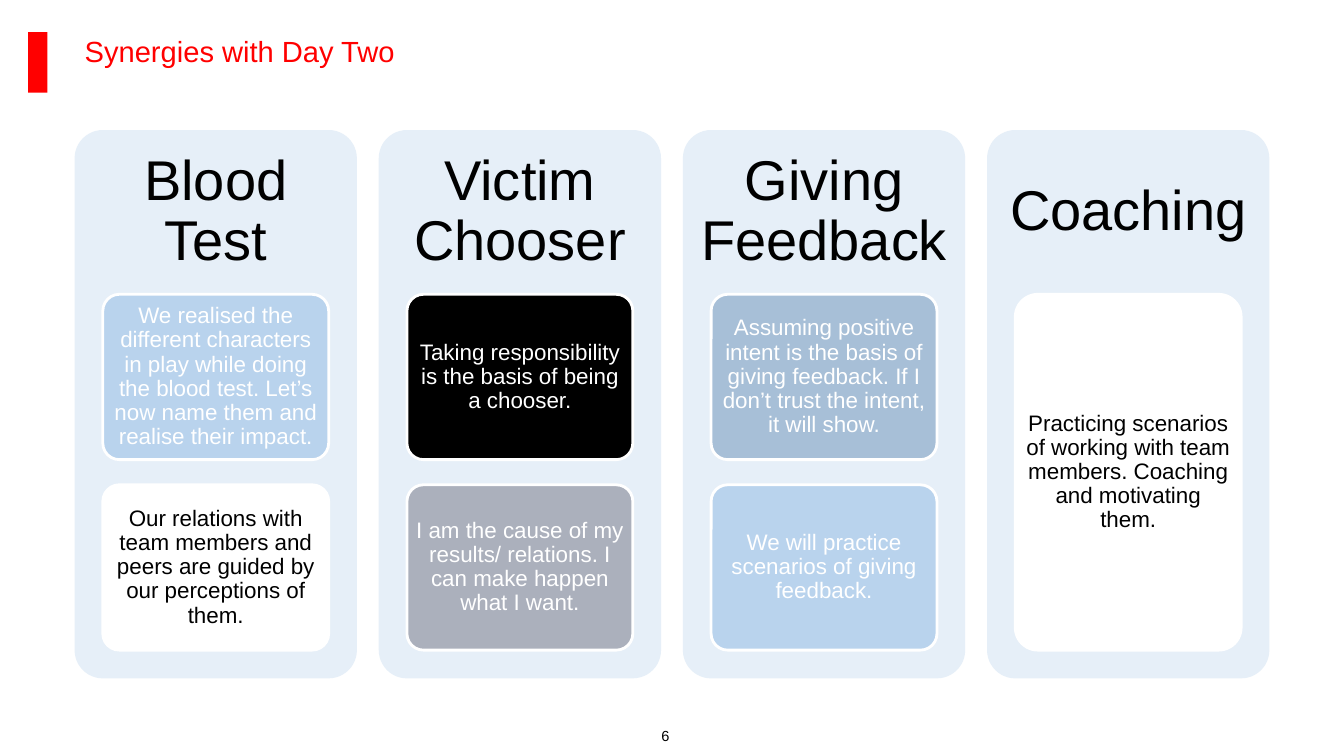
import pptx
import pptx.util
import pptx.dml.color
import pptx.enum.shapes
import pptx.enum.text

Inches, Pt = pptx.util.Inches, pptx.util.Pt
SHAPES = pptx.enum.shapes.MSO_SHAPE
ANCHOR = pptx.enum.text.MSO_ANCHOR
ALIGN = pptx.enum.text.PP_ALIGN

COLORS = {
    "red": "FF0000", "black": "000000", "white": "FFFFFF", "panel": "E6EFF8",
    "sky": "B9D3ED", "steel": "A7BFD7", "grey": "ABB0BC",
}
TITLE = "Synergies with Day Two"
PAGE_NUMBER = "6"
# heading, then cards as (text, fill, text colour)
TOPICS = [
    ("Blood Test", [
        ("We realised the different characters in play while doing the blood test. "
         "Let’s now name them and realise their impact.", "sky", "white"),
        ("Our relations with team members and peers are guided by our perceptions of them.",
         "white", "black"),
    ]),
    ("Victim Chooser", [
        ("Taking responsibility is the basis of being a chooser.", "black", "white"),
        ("I am the cause of my results/ relations. I can make happen what I want.",
         "grey", "white"),
    ]),
    ("Giving Feedback", [
        ("Assuming positive intent is the basis of giving feedback. "
         "If I don’t trust the intent, it will show.", "steel", "white"),
        ("We will practice scenarios of giving feedback.", "sky", "white"),
    ]),
    ("Coaching", [
        ("Practicing scenarios of working with team members. Coaching and motivating them.",
         "white", "black"),
    ]),
]

LEFT, WIDTH = 0.74, 11.85
PANEL_TOP, PANEL_WIDTH, PANEL_HEIGHT = 1.29, 2.8, 5.44
HEADING_HEIGHT = 1.63
CARD_WIDTH, CARDS_HEIGHT, CARD_GAP = 2.24, 3.53, 0.25


def rgb(name):
    return pptx.dml.color.RGBColor.from_string(COLORS[name])


def add_block(slide, kind, box, fill, line=None):
    block = slide.shapes.add_shape(kind, *map(Inches, box))
    block.shadow.inherit = False
    block.fill.solid()
    block.fill.fore_color.rgb = rgb(fill)
    if line:
        block.line.color.rgb = rgb(line)
        block.line.width = Pt(2)
    else:
        block.line.fill.background()
    if kind == SHAPES.ROUNDED_RECTANGLE:
        block.adjustments[0] = 0.1
    return block


def write(holder, text, size, color, insets, align=ALIGN.CENTER, anchor=ANCHOR.MIDDLE, wrap=True):
    frame = holder.text_frame
    frame.text = text
    frame.word_wrap = wrap
    frame.auto_size = pptx.enum.text.MSO_AUTO_SIZE.NONE
    frame.vertical_anchor = anchor
    frame.margin_left = frame.margin_right = Inches(insets[0])
    frame.margin_top = frame.margin_bottom = Inches(insets[1])
    paragraph = frame.paragraphs[0]
    paragraph.alignment = align
    paragraph.line_spacing = 0.9
    paragraph.font.size = Pt(size)
    paragraph.font.name = "Arial"
    paragraph.font.color.rgb = rgb(color)


def add_topic(slide, left, heading, cards):
    add_block(slide, SHAPES.ROUNDED_RECTANGLE,
              (left, PANEL_TOP, PANEL_WIDTH, PANEL_HEIGHT), "panel")
    heading_box = slide.shapes.add_textbox(
        *map(Inches, (left, PANEL_TOP, PANEL_WIDTH, HEADING_HEIGHT)))
    write(heading_box, heading, 40, "black", (0.17, 0.17))

    card_left = left + (PANEL_WIDTH - CARD_WIDTH) / 2
    card_height = (CARDS_HEIGHT - CARD_GAP * (len(cards) - 1)) / len(cards)
    for row, (text, fill, color) in enumerate(cards):
        top = PANEL_TOP + HEADING_HEIGHT + row * (card_height + CARD_GAP)
        card = add_block(slide, SHAPES.ROUNDED_RECTANGLE,
                         (card_left, top, CARD_WIDTH, card_height), fill, "white")
        write(card, text, 16, color, (0.04, 0.03))


def main():
    deck = pptx.Presentation()
    deck.slide_width, deck.slide_height = Inches(13.33), Inches(7.5)
    slide = deck.slides.add_slide(deck.slide_layouts[5])

    add_block(slide, SHAPES.RECTANGLE, (0.28, 0.32, 0.19, 0.6), "red")
    title = slide.shapes.title
    title.left, title.top, title.width, title.height = map(Inches, (LEFT, 0.32, WIDTH, 0.75))
    write(title, TITLE, 20.8, "red", (0.1, 0.05), ALIGN.LEFT, ANCHOR.TOP)

    pitch = (WIDTH - PANEL_WIDTH) / (len(TOPICS) - 1)
    for column, (heading, cards) in enumerate(TOPICS):
        add_topic(slide, LEFT + column * pitch, heading, cards)

    page_number = slide.shapes.add_textbox(*map(Inches, (6.56, 7.22, 0.18, 0.18)))
    write(page_number, PAGE_NUMBER, 10.4, "black", (0, 0), ALIGN.LEFT)
    deck.save("out.pptx")


if __name__ == "__main__":
    main()
